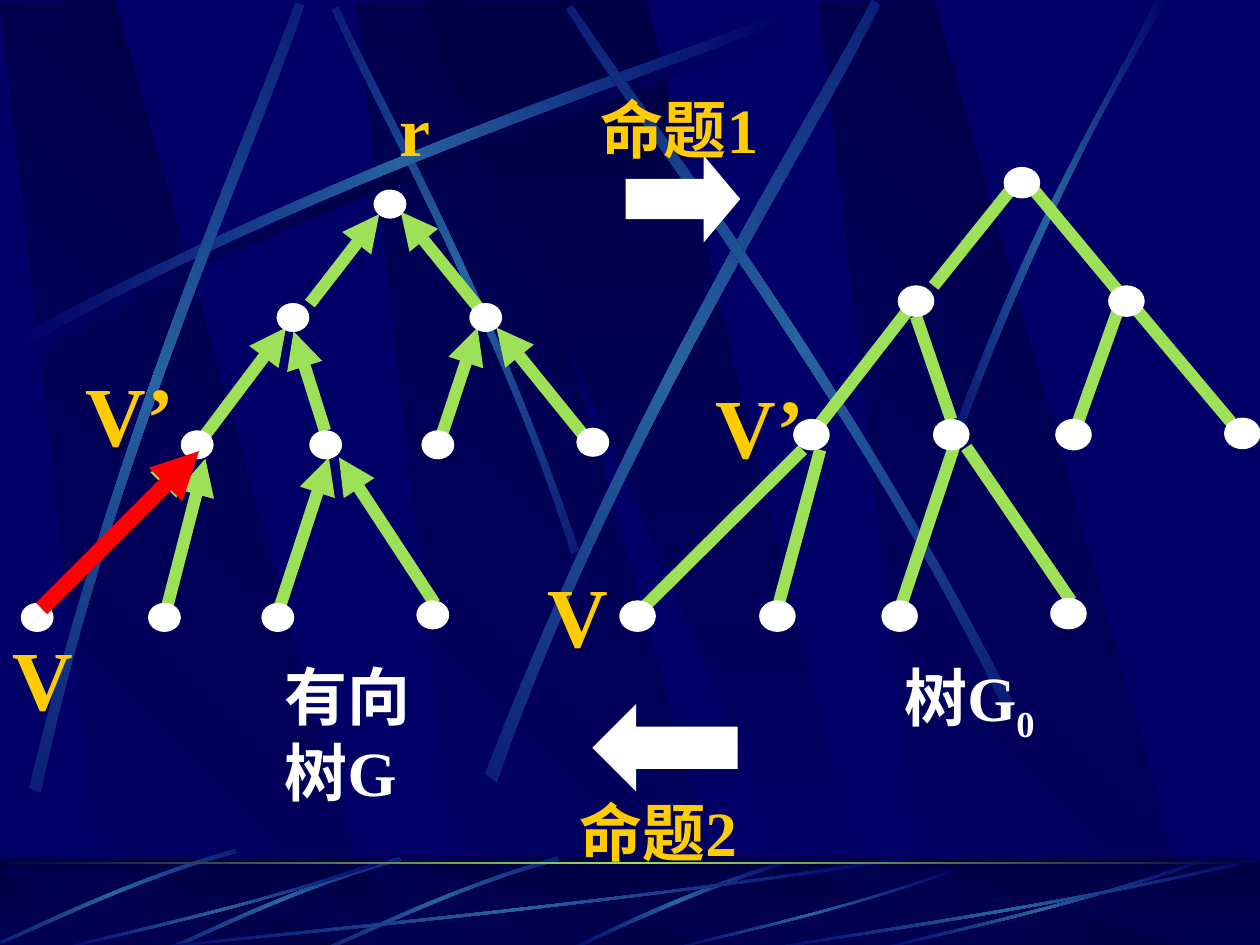
"""Build a slide showing how a directed tree G and a tree G0 give each other."""
from copy import deepcopy
from math import cos, radians, sin

from lxml.etree import SubElement
from pptx import Presentation
from pptx.dml.color import RGBColor
from pptx.enum.shapes import MSO_CONNECTOR, MSO_SHAPE
from pptx.enum.text import MSO_AUTO_SIZE
from pptx.oxml.ns import qn
from pptx.util import Inches, Pt

COLORS = {"navy": "000066", "deep": "000044", "streak": "2663A0", "edge": "9CE157",
          "node": "FFFFFF", "label": "FFCC00", "new_edge": "FF0000"}
RGB = {name: RGBColor.from_string(value) for name, value in COLORS.items()}


def bend_sides(shape):
    outline = next(shape._element.iter(qn("a:path")))
    lines = outline.findall(qn("a:lnTo"))
    for side in (lines[:3], lines[4:7]):
        bend = SubElement(outline, qn("a:cubicBezTo"))
        side[0].addprevious(bend)
        for line in side:
            bend.append(line[0])
            outline.remove(line)


def add_text(box, runs, size, color, wrap=True):
    shape = slide.shapes.add_textbox(*(Inches(value) for value in box))
    frame = shape.text_frame
    frame.word_wrap = wrap
    frame.auto_size = MSO_AUTO_SIZE.SHAPE_TO_FIT_TEXT
    paragraph = frame.paragraphs[0]
    for text, baseline in runs:
        run = paragraph.add_run()
        run.text = text
        run.font.size = Pt(size)
        run.font.bold = True
        run.font.name = "Times New Roman"
        run.font.color.rgb = RGB[color]
        properties = run.font._element
        SubElement(properties, qn("a:ea")).set("typeface", "Noto Sans CJK SC")
        if baseline:
            properties.set("baseline", str(baseline * 1000))


presentation = Presentation()
presentation.slide_width, presentation.slide_height = Inches(10), Inches(7.5)
slide = presentation.slides.add_slide(presentation.slide_layouts[6])
slide.background.fill.solid()
slide.background.fill.fore_color.rgb = RGB["navy"]

beam = [(0.86, 7.5), (3.02, 7.52), (0.91, 0), (0, 0.02)]
wide_beam = [(3.33, 0.01), (6.58, 7.51), (6.94, 7.51), (5.13, 0)]
beams = [([(x + dx, y) for x, y in beam], ("navy", "deep"), 45) for dx in (2.83, 0, 6.5)]
beams.append((wide_beam, ("deep", "navy"), 270))
floor_beams = [([(x, 6.88 + y * 0.09) for x, y in points], colors, angle)
               for points, colors, angle in beams]

glow = ("navy", "streak", "navy")
shade = ("navy", "deep", "navy")
long_streak = [(0.14, 2.67), (2.78, 1.25), (5.18, 0.51), (6.2, 0.1),
               (6.23, 0.16), (5.22, 0.61), (2.48, 1.43), (0.17, 2.77)]
streaks = [
    ([(x + 0.06, y + 0.08) for x, y in long_streak], 0, (0, 0), shade),
    ([(4.6, 4.36), (3.91, 2.34), (3.02, 0.77), (2.69, 0.05),
      (2.64, 0.07), (2.95, 0.79), (3.98, 2.58), (4.54, 4.39)], 45, (3.62, 2.23), glow),
    (long_streak, 0, (0, 0), glow),
    ([(0.23, 6.25), (0.93, 3.34), (1.97, 1.05), (2.34, 0.02),
      (2.41, 0.04), (2.07, 1.09), (0.86, 3.68), (0.32, 6.29)], 311.7, (1.33, 3.16), glow),
    ([(3.85, 6.14), (4.98, 3.2), (6.38, 1.02), (6.92, 0),
      (6.98, 0.04), (6.49, 1.08), (4.86, 3.55), (3.94, 6.21)], 321.6, (5.43, 3.11), glow),
    ([(8.06, 5.6), (6.7, 2.93), (5.16, 0.95), (4.55, 0.04),
      (4.5, 0.07), (5.07, 1.01), (6.85, 3.25), (7.99, 5.66)], 34.8, (6.27, 2.86), glow),
    ([(7.38, 3.94), (8.14, 1.73), (8.88, 0.66), (9.17, 0),
      (9.27, 0), (8.36, 1.45), (7.69, 3.22), (7.44, 3.97)], 0, (0, 0), glow),
]
floor_streaks = [([(6.27, 6.82), (5.37, 7.09), (4.77, 7.42), (4.48, 7.54),
                   (4.53, 7.55), (4.9, 7.37), (5.71, 7), (6.28, 6.85)], 0, (0, 0), glow)]
short_streak = [(4.42, 6.8), (3.55, 7.05), (2.87, 7.4), (2.56, 7.53),
                (2.57, 7.55), (2.88, 7.43), (3.65, 7.03), (4.44, 6.83)]
for dx, dy in ((0, 0), (-1.25, 0), (-2.56, -0.06)):
    points = [(x + dx, y + dy) for x, y in short_streak]
    floor_streaks.append((points, 314.9, (3.5 + dx, 7.18 + dy), glow))
sweep = [(1, 0.04), (0.57, 0.57), (0.17, 0.85), (0.01, 1),
         (0, 0.99), (0.17, 0.81), (0.62, 0.51), (1, 0)]
for left, top, width in ((1, 6.8, 6.17), (0.42, 6.8, 2.67), (5.27, 6.89, 2.31),
                         (6.92, 6.8, 2.67), (6, 6.8, 4)):
    points = [(left + u * width, top + v * (7.55 - top)) for u, v in sweep]
    floor_streaks.append((points, 0, (0, 0), glow))

floor = (0, 6.8, 10, 0.75)
backdrop = [("beam", points, 0, (0, 0), colors, angle) for points, colors, angle in beams]
backdrop += [("streak", *streak, 0) for streak in streaks]
backdrop.append(("bar", floor, 0, (0, 0), ("deep", "navy"), 270))
backdrop += [("beam", points, 0, (0, 0), colors, angle) for points, colors, angle in floor_beams]
backdrop.append(("bar", floor, 0, (0, 0), ("deep",), 0))
backdrop += [("streak", *streak, 0) for streak in floor_streaks]
backdrop.append(("bar", (0, 6.84, 10, 0.02), 0, (0, 0), ("deep", "edge", "deep"), 0))

for kind, geometry, rotation, (pivot_x, pivot_y), colors, angle in backdrop:
    if kind == "bar":
        shape = slide.shapes.add_shape(MSO_SHAPE.RECTANGLE, *(Inches(value) for value in geometry))
    else:
        turn = radians(-rotation)
        level = [(Inches(pivot_x + (x - pivot_x) * cos(turn) - (y - pivot_y) * sin(turn)),
                  Inches(pivot_y + (x - pivot_x) * sin(turn) + (y - pivot_y) * cos(turn)))
                 for x, y in geometry]
        builder = slide.shapes.build_freeform(*level[0])
        builder.add_line_segments(level[1:], close=True)
        shape = builder.convert_to_shape()
        shape.rotation = rotation
        if kind == "streak":
            bend_sides(shape)
    shape.shadow.inherit = False
    shape.line.fill.background()
    if len(colors) == 1:
        shape.fill.solid()
        shape.fill.fore_color.rgb = RGB[colors[0]]
        color_element = shape._element.spPr.find(qn("a:solidFill"))[0]
        SubElement(color_element, qn("a:alpha")).set("val", "50000")
        continue
    shape.fill.gradient()
    shape.fill.gradient_angle = angle
    stop_list = shape._element.spPr.find(qn("a:gradFill")).find(qn("a:gsLst"))
    if len(colors) == 3:
        stop_list.insert(1, deepcopy(stop_list[0]))
    for index, (stop, color) in enumerate(zip(shape.fill.gradient_stops, colors)):
        stop.position = index / (len(colors) - 1)
        stop.color.rgb = RGB[color]

directed_edges = [
    (2.46, 2.41, 3.01, 1.7), (3.86, 2.52, 3.18, 1.68), (1.57, 3.53, 2.27, 2.6),
    (2.58, 3.42, 2.33, 2.63), (4.62, 3.44, 3.94, 2.6), (3.48, 3.53, 3.79, 2.6),
    (0.29, 4.88, 1.5, 3.64), (1.31, 4.88, 1.63, 3.64), (2.2, 4.88, 2.61, 3.63),
    (3.45, 4.79, 2.69, 3.63)]
directed_nodes = [
    (2.97, 1.51), (2.2, 2.41), (3.73, 2.41), (1.44, 3.42), (3.35, 3.42), (2.46, 3.42),
    (4.58, 3.4), (0.17, 4.79), (2.08, 4.79), (1.18, 4.79), (3.31, 4.77)]
plain_edges = [
    (7.41, 2.27, 8.01, 1.52), (8.94, 2.39, 8.2, 1.5), (6.44, 3.45, 7.2, 2.47),
    (7.55, 3.33, 7.27, 2.51), (9.77, 3.35, 9.03, 2.47), (8.52, 3.45, 8.87, 2.47),
    (5.06, 4.87, 6.37, 3.57), (6.16, 4.87, 6.51, 3.57), (7.13, 4.87, 7.57, 3.55),
    (8.5, 4.77, 7.67, 3.55)]
plain_nodes = [
    (7.97, 1.33), (7.13, 2.27), (8.8, 2.27), (6.3, 3.33), (8.38, 3.33), (7.41, 3.33),
    (9.72, 3.32), (4.92, 4.77), (7, 4.77), (6.03, 4.77), (8.34, 4.75)]
trees = [(directed_edges, directed_nodes, 0.25, 0.22, "edge", 7, True),
         (plain_edges, plain_nodes, 0.28, 0.24, "edge", 7, False),
         ([(0.33, 4.83, 1.58, 3.58)], [], 0, 0, "new_edge", 9, True)]
for edges, nodes, width, height, color, weight, directed in trees:
    for edge in edges:
        connector = slide.shapes.add_connector(
            MSO_CONNECTOR.STRAIGHT, *(Inches(value) for value in edge))
        connector.line.color.rgb = RGB[color]
        connector.line.width = Pt(weight)
        properties = connector._element.spPr
        if directed:
            SubElement(properties.find(qn("a:ln")), qn("a:tailEnd")).set("type", "triangle")
        SubElement(properties, qn("a:effectLst"))
    for left, top in nodes:
        shape = slide.shapes.add_shape(
            MSO_SHAPE.OVAL, Inches(left), Inches(top), Inches(width), Inches(height))
        shape.shadow.inherit = False
        shape.fill.solid()
        shape.fill.fore_color.rgb = RGB["node"]
        shape.line.color.rgb = RGB["node"]
        shape.line.width = Pt(0.75)

for preset, box, head in ((MSO_SHAPE.RIGHT_ARROW, (5, 1.33, 0.83, 0.5), 0.42),
                          (MSO_SHAPE.LEFT_ARROW, (4.75, 5.67, 1.07, 0.53), 0.5)):
    shape = slide.shapes.add_shape(preset, *(Inches(value) for value in box))
    shape.adjustments[0], shape.adjustments[1] = 0.5, head
    shape.shadow.inherit = False
    shape.fill.solid()
    shape.fill.fore_color.rgb = RGB["node"]
    shape.line.color.rgb = RGB["node"]
    shape.line.width = Pt(5)
    SubElement(shape._element.spPr.find(qn("a:ln")), qn("a:miter")).set("lim", "800000")

add_text((3.07, 0.64, 0.44, 0.77), [("r", 0)], 40, "label", wrap=False)
add_text((2.16, 5.17, 1.38, 1.3), [("有向树", 0), ("G", 0)], 36, "node")
add_text((7.08, 5.18, 1.5, 0.79), [("树G", 0), ("0", -25)], 36, "node")
for text, left, top, width, height, size in (
        ("命题1", 4.67, 0.67, 1.75, 0.7, 36), ("命题2", 4.5, 6.25, 1.75, 0.7, 36),
        ("V", 4.25, 4.42, 0.75, 0.9, 48), ("V’", 5.58, 2.92, 1.08, 0.9, 48),
        ("V’", 0.58, 2.83, 1.08, 0.9, 48), ("V", 0, 4.92, 0.75, 0.9, 48)):
    add_text((left, top, width, height), [(text, 0)], size, "label")

presentation.save("out.pptx")
